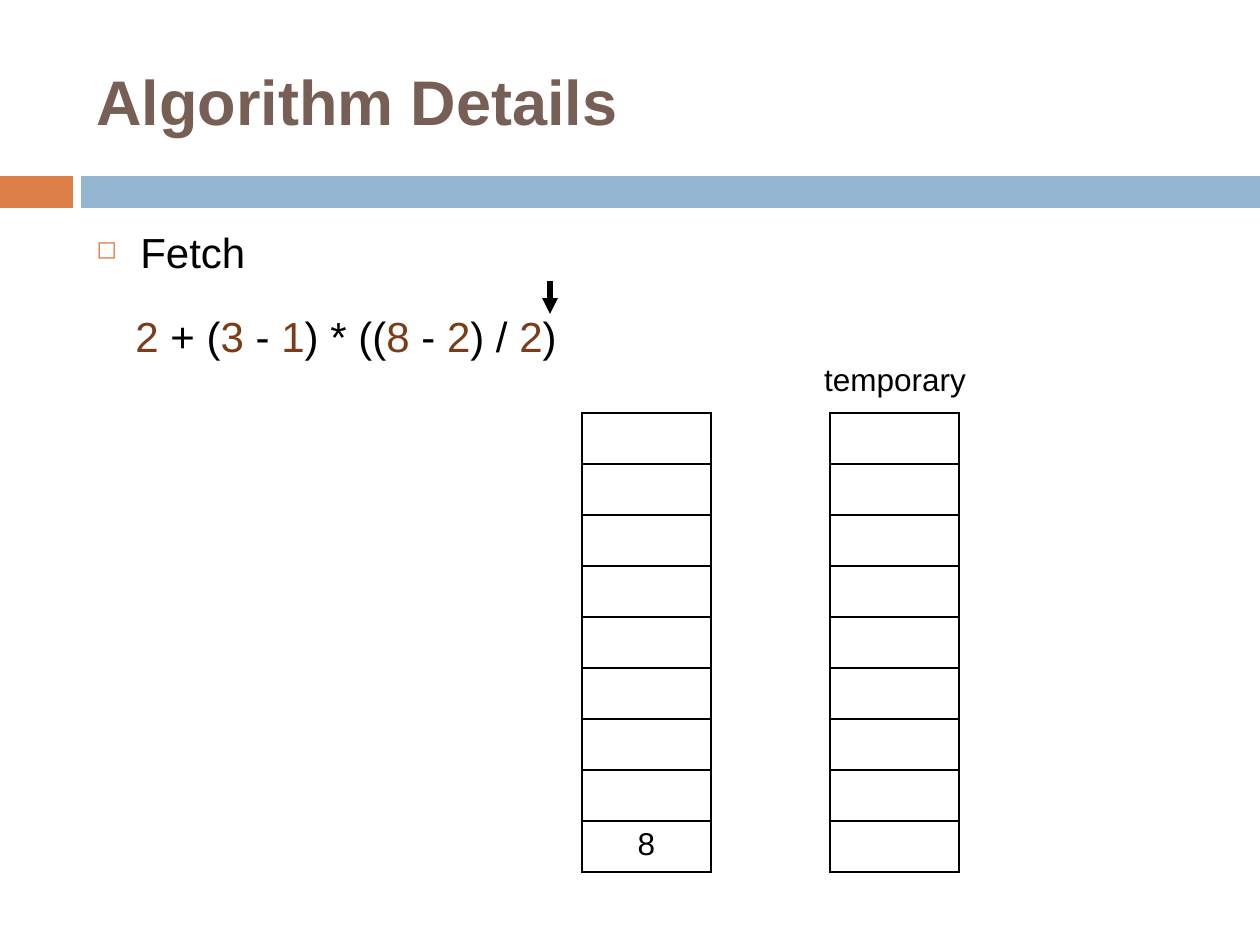
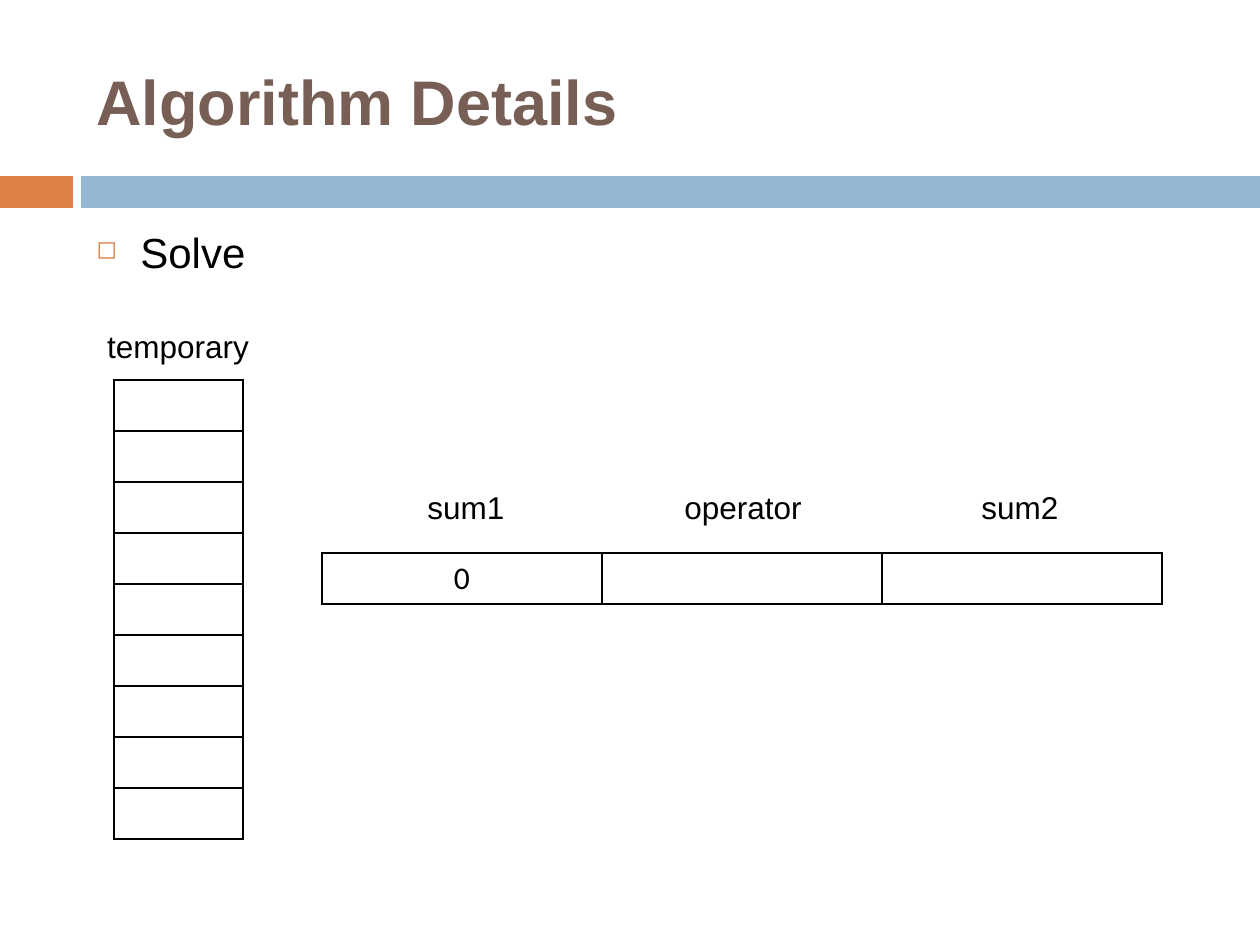
from itertools import groupby

from lxml import etree
from pptx import Presentation
from pptx.dml.color import RGBColor
from pptx.enum.shapes import MSO_CONNECTOR, MSO_SHAPE
from pptx.enum.text import MSO_ANCHOR, PP_ALIGN
from pptx.oxml import parse_xml
from pptx.oxml.ns import nsdecls, qn
from pptx.util import Pt

RECTANGLE = MSO_SHAPE.RECTANGLE
STRAIGHT = MSO_CONNECTOR.STRAIGHT
LEFT, CENTER = PP_ALIGN.LEFT, PP_ALIGN.CENTER
TOP, MIDDLE = MSO_ANCHOR.TOP, MSO_ANCHOR.MIDDLE

SCALE = 914400 / 126  # EMU in one px
COLORS = {"title": "775F55", "orange": "DD8047", "blue": "94B6D2",
          "number": "7B3D17", "ink": "000000"}
TITLE = {"size": Pt(36), "name": "Arial", "bold": True}
BODY = {"size": Pt(24), "name": "Arial"}
LABEL = {"size": Pt(18), "name": "Arial"}
DIGIT = {"size": Pt(18), "name": "Calibri"}
ROW_HEIGHT = 51
STACK_WIDTH = 129
STACK_ROWS = 9


def add_text(page, spot, spans, style, align=LEFT, anchor=TOP):
    """Add a one-paragraph text box; spans are (text, colour name) pairs."""
    box = page.shapes.add_textbox(*[round(n * SCALE) for n in spot])
    box.text_frame.word_wrap = True
    box.text_frame.vertical_anchor = anchor
    para = box.text_frame.paragraphs[0]
    para.alignment = align
    for text, color in spans:
        span = para.add_run()
        span.text = text
        for key, value in style.items():
            setattr(span.font, key, value)
        span.font.color.rgb = RGBColor.from_string(COLORS[color])
    return para


def add_grid(page, left, top, column_width, values, style):
    """Add a bordered table with centred cells, one list of values per row."""
    rows, columns = len(values), len(values[0])
    size = (left, top, column_width * columns, ROW_HEIGHT * rows)
    table = page.shapes.add_table(rows, columns, *[round(n * SCALE) for n in size]).table
    table.first_row = table.horz_banding = False
    for row, row_values in zip(table.rows, values):
        row.height = round(ROW_HEIGHT * SCALE)
        for cell, value in zip(row.cells, row_values):
            cell.fill.background()
            para = cell.text_frame.paragraphs[0]
            para.alignment = CENTER
            if value:
                span = para.add_run()
                span.text = value
                for key, setting in style.items():
                    setattr(span.font, key, setting)
                span.font.color.rgb = RGBColor.from_string(COLORS["ink"])
            borders = cell._tc.get_or_add_tcPr()
            for place, side in enumerate(("lnL", "lnR", "lnT", "lnB")):
                borders.insert(place, parse_xml(
                    f'<a:{side} {nsdecls("a")} w="12700"><a:solidFill>'
                    f'<a:srgbClr val="{COLORS["ink"]}"/></a:solidFill></a:{side}>'))


deck = Presentation()
deck.slide_width = round(1260 * SCALE)
deck.slide_height = round(945 * SCALE)

# Shared frame: bands, title and bulleted heading
pages = []
for heading in ("Fetch", "Solve"):
    page = deck.slides.add_slide(deck.slide_layouts[6])
    for left, width, color in ((0, 73, "orange"), (81, 1179, "blue")):
        spot = (left, 176, width, 32)
        band = page.shapes.add_shape(RECTANGLE, *[round(n * SCALE) for n in spot])
        band.shadow.inherit = False
        band.fill.solid()
        band.fill.fore_color.rgb = RGBColor.from_string(COLORS[color])
        band.line.fill.background()
    add_text(page, (84, 32, 1124, 136), [("Algorithm Details", "title")], TITLE, anchor=MIDDLE)
    para = add_text(page, (84, 220, 1124, 620), [(heading, "ink")], BODY)
    para.space_before = Pt(7)
    bullet = para._p.get_or_add_pPr()
    indent = round(44 * SCALE)
    bullet.set("marL", str(indent))
    bullet.set("indent", str(-indent))
    bullet_color = etree.SubElement(bullet, qn("a:buClr"))
    etree.SubElement(bullet_color, qn("a:srgbClr"), val=COLORS["orange"])
    etree.SubElement(bullet, qn("a:buSzPct"), val="60000")
    etree.SubElement(bullet, qn("a:buChar"), char="◻")
    pages.append(page)
fetch, solve = pages

# Fetch: expression with its numbers coloured
expression = "2 + (3 - 1) * ((8 - 2) / 2)"
spans = [("".join(group), "number" if is_number else "ink")
         for is_number, group in groupby(expression, str.isdigit)]
add_text(fetch, (123, 304, 546, 63), spans, BODY)

# Fetch: arrow at the character being read
ends = (550, 281, 550, 314)
arrow = fetch.shapes.add_connector(STRAIGHT, *[round(n * SCALE) for n in ends])
arrow.line.width = Pt(3)
arrow.line.color.rgb = RGBColor.from_string(COLORS["ink"])
etree.SubElement(arrow.line._get_or_add_ln(), qn("a:tailEnd"), type="triangle")
etree.SubElement(arrow._element.spPr, qn("a:effectLst"))

# Stacks on both slides
empty_stack = [[""]] * STACK_ROWS
filled_stack = empty_stack[:-1] + [["8"]]
for page, left, top, values in ((fetch, 582, 413, filled_stack),
                                (fetch, 830, 413, empty_stack),
                                (solve, 114, 380, empty_stack)):
    add_grid(page, left, top, STACK_WIDTH, values, LABEL)

# Solve: the working row
add_grid(solve, 322, 553, 280, [["0", "", ""]], DIGIT)

# Labels above the tables
labels = [(fetch, 781, 354, "temporary"), (solve, 64, 321, "temporary")]
labels += [(solve, 352 + 277 * i, 482, name)
           for i, name in enumerate(("sum1", "operator", "sum2"))]
for page, left, top, name in labels:
    add_text(page, (left, top, 228, 50), [(name, "ink")], LABEL, CENTER)

deck.save("out.pptx")
